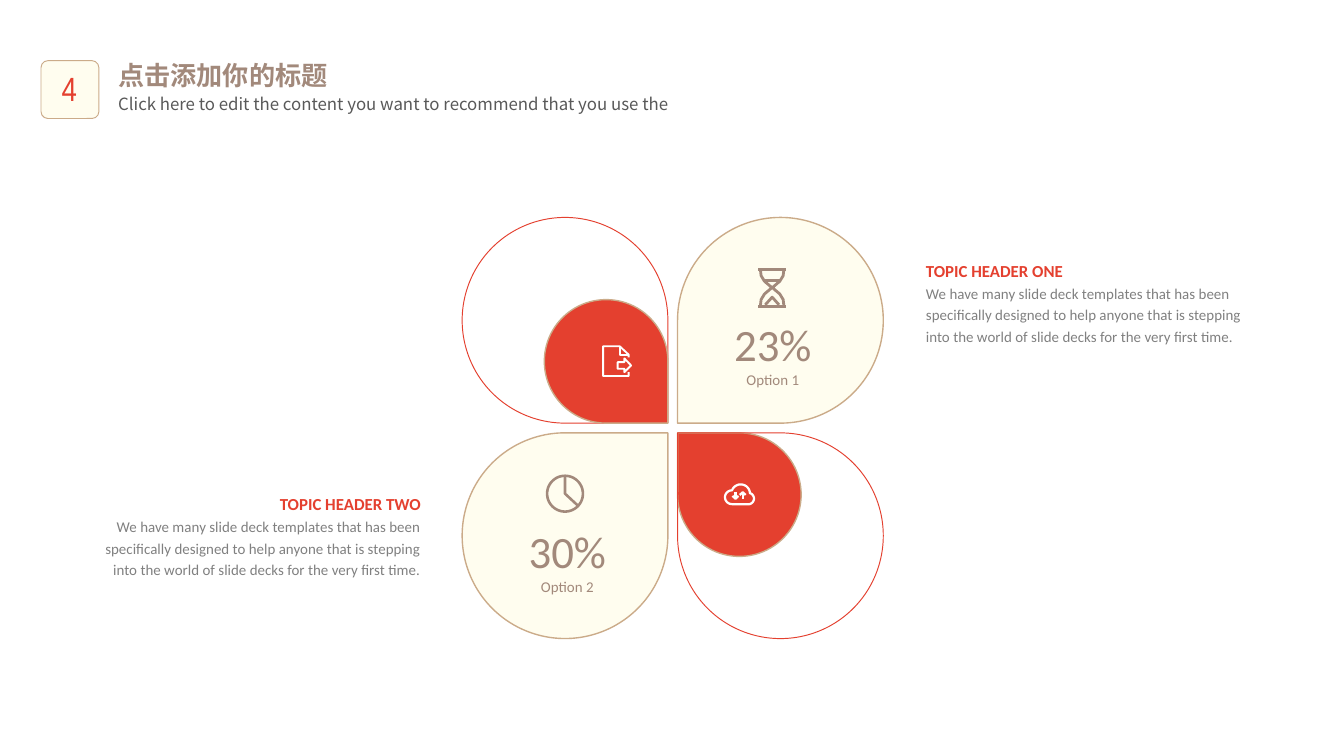
import math

from pptx import Presentation
from pptx import util as u
from pptx.dml.color import RGBColor
from pptx.enum import shapes, text
from pptx.oxml.ns import qn

RED, CREAM, TAN, TAUPE, WHITE = "E4402F", "FFFDEF", "CBAB89", "A2897B", "FFFFFF"
CJK = "Noto Sans CJK SC"
LEFT, CENTER, RIGHT = text.PP_ALIGN.LEFT, text.PP_ALIGN.CENTER, text.PP_ALIGN.RIGHT
BODY = ("We have many slide deck templates that has been specifically designed to help "
        "anyone that is stepping into the world of slide decks for the very first time.")


def arc(cx, cy, radius, start, end, steps=16):
    """Points along a circular arc, angles in degrees, clockwise from the right."""
    angles = [math.radians(start + (end - start) * i / steps) for i in range(steps + 1)]
    return [(cx + radius * math.cos(a), cy + radius * math.sin(a)) for a in angles]


# Petals: column (-1 left, 1 right), row (-1 top, 1 bottom), size, fill, line, line width
MIDDLE, GAP, BIG, SMALL = (360.4, 229.3), 5.2, 110.2, 66.2
PETALS = [
    (-1, 1, BIG, CREAM, TAN, 0.75),
    (1, 1, SMALL, RED, TAN, 0.75),
    (1, -1, BIG, CREAM, TAN, 0.75),
    (-1, -1, BIG, None, RED, 0.5),
    (-1, -1, SMALL, RED, TAN, 0.75),
    (1, 1, BIG, None, RED, 0.5),
]
TURN = {(-1, 1): 0, (-1, -1): 90, (1, -1): 180, (1, 1): 270}

# Icons: origin, colour, line width, strokes as (closed, points)
GLASS = [(2, 1), (2.4, 4.4), (4.2, 7.4), (7.6, 10.3), (7.6, 11.3), (4.2, 14.2), (2.4, 17.2), (2, 20.6)]
CLOUD = arc(4.7, 7.9, 3.7, 90, 270) + arc(9.4, 6, 5, 201, 357) + arc(13.4, 8.6, 3.1, -75, 90)
ICONS = [
    ((405.4, 143.3), TAUPE, 1.5, [  # hourglass
        (False, [(0.9, 0.9), (15.7, 0.9)]),
        (False, [(0.9, 20.7), (15.7, 20.7)]),
        (False, GLASS),
        (False, [(16.6 - x, y) for x, y in GLASS]),
        (False, [(4.2, 7), (12.4, 7)]),
        (False, [(4.6, 20), (8.3, 15.9), (12, 20)]),
    ]),
    ((292.4, 254.2), TAUPE, 1.4, [  # pie
        (True, arc(10.3, 10.3, 9.6, 0, 360, 72)),
        (False, [(10.3, 0.7), (10.3, 10.3), (17, 16.5)]),
    ]),
    ((322.6, 185), WHITE, 1, [  # page with arrow
        (False, [(14.2, 6.5), (14.2, 5), (9.4, 0.5), (0.5, 0.5), (0.5, 16.4), (14.2, 16.4), (14.2, 14.4)]),
        (False, [(9.4, 0.5), (9.4, 5), (14.2, 5)]),
        (True, [(8.3, 9), (11.9, 9), (11.9, 7), (15.5, 10.8), (11.9, 14.4), (11.9, 12.6), (8.3, 12.6)]),
    ]),
    ((387.4, 258.5), WHITE, 1.2, [  # cloud
        (True, CLOUD),
        (False, [(6.6, 5.2), (6.6, 8.7)]),
        (False, [(5, 7.2), (6.6, 8.7), (8.2, 7.2)]),
        (False, [(10.5, 8.7), (10.5, 5.2)]),
        (False, [(8.9, 6.7), (10.5, 5.2), (12.1, 6.7)]),
    ]),
]

# Texts: box, alignment, line spacing, margins, wrap, paragraphs (words, size, font, colour, bold)
WIDE, NONE = (7.2, 3.6), (0, 0)
TEXTS = [
    ((18.7, 33.1, 36.7, 28.8), CENTER, 1, WIDE, True, [("4", 18, "Arial Narrow", RED, False)]),
    ((56.2, 28.1, 620.6, 33.8), LEFT, 1, WIDE, True, [("点击添加你的标题", 14, CJK, TAUPE, True)]),
    ((56.2, 46.8, 620.6, 23.8), LEFT, 1, WIDE, True,
     [("Click here to edit the content you want to recommend that you use the", 9, CJK, "595959", False)]),
]
for box, percent, option in [((275.8, 277.2, 56.2, 46.1), "30%", "Option 2"),
                             ((385.9, 166.3, 56.2, 46.1), "23%", "Option 1")]:
    TEXTS.append((box, CENTER, 1, WIDE, False, [(percent, 24, "Calibri", TAUPE, False),
                                                (option, 8, "Calibri", TAUPE, False)]))
for box, align, header in [((496.1, 137.5, 175.7, 48), LEFT, "TOPIC HEADER ONE"),
                           ((49.7, 262.5, 175.7, 48), RIGHT, "TOPIC HEADER TWO")]:
    TEXTS.append((box, align, 1.2, NONE, True, [(header, 9, "Calibri", RED, True),
                                                (BODY, 8, "Calibri", "808080", False)]))


def color(value):
    return RGBColor.from_string(value)


def paint(shape, fill, line, width):
    shape.shadow.inherit = False
    if fill:
        shape.fill.solid()
        shape.fill.fore_color.rgb = color(fill)
    else:
        shape.fill.background()
    shape.line.color.rgb = color(line)
    shape.line.width = u.Pt(width)


def points(*values):
    return [u.Pt(value) for value in values]


def add_petal(slide, column, row, size, fill, line, width):
    left, top = [mid + GAP / 2 if side > 0 else mid - GAP / 2 - size
                 for mid, side in zip(MIDDLE, (column, row))]
    petal = slide.shapes.add_shape(shapes.MSO_SHAPE.TEAR, *points(left, top, size, size))
    petal.rotation = TURN[column, row]
    paint(petal, fill, line, width)


def add_icon(slide, origin, line, width, strokes):
    builder = None
    for closed, stroke in strokes:
        first, *rest = [points(*point) for point in stroke]
        if builder is None:
            builder = slide.shapes.build_freeform(*first)
        else:
            builder.move_to(*first)
        builder.add_line_segments(rest, close=closed)
    paint(builder.convert_to_shape(*points(*origin)), None, line, width)


def add_text(slide, box, align, spacing, margins, wrap, paragraphs):
    frame = slide.shapes.add_textbox(*points(*box)).text_frame
    side, edge = points(*margins)
    layout = {"word_wrap": wrap, "margin_left": side, "margin_right": side,
              "margin_top": edge, "margin_bottom": edge}
    for name, value in layout.items():
        setattr(frame, name, value)
    for i, (words, size, font, ink, bold) in enumerate(paragraphs):
        paragraph = frame.add_paragraph() if i else frame.paragraphs[0]
        paragraph.alignment, paragraph.line_spacing = align, spacing
        run = paragraph.add_run()
        run.text = words
        for name, value in {"size": u.Pt(size), "name": font, "bold": bold}.items():
            setattr(run.font, name, value)
        run.font.color.rgb = color(ink)
        if font == CJK:  # East Asian typeface
            east = run.font._element.makeelement(qn("a:ea"), {"typeface": font})
            run.font._element.append(east)


def main():
    deck = Presentation()
    deck.slide_width, deck.slide_height = points(720, 405)
    slide = deck.slides.add_slide(deck.slide_layouts[6])

    # Number badge
    badge = slide.shapes.add_shape(shapes.MSO_SHAPE.ROUNDED_RECTANGLE, *points(22, 32.5, 31, 31))
    badge.adjustments[0] = 0.12
    paint(badge, CREAM, TAN, 0.5)

    for petal in PETALS:
        add_petal(slide, *petal)
    for icon in ICONS:
        add_icon(slide, *icon)
    for entry in TEXTS:
        add_text(slide, *entry)

    deck.save("out.pptx")


if __name__ == "__main__":
    main()
